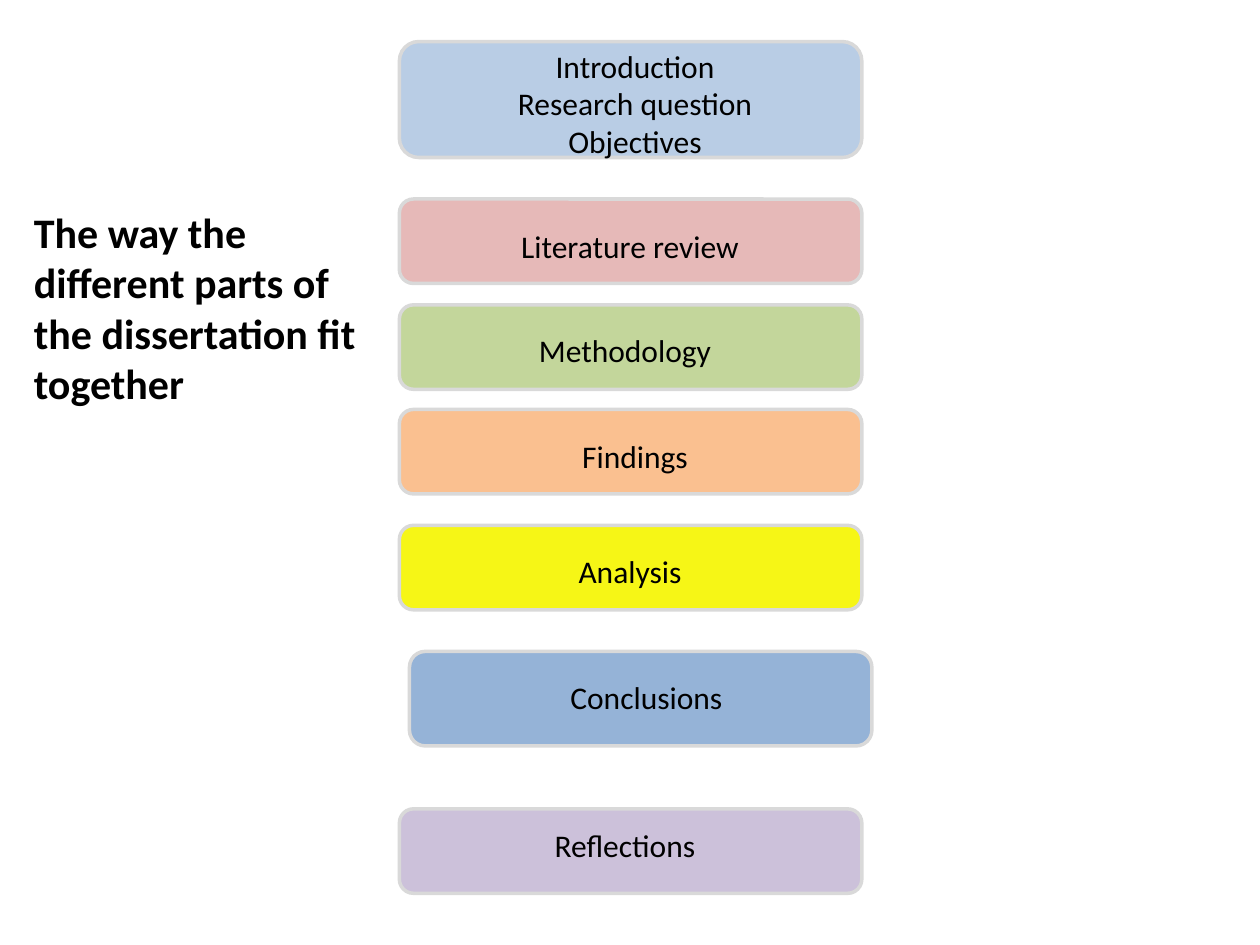
from pptx import Presentation
from pptx import util as u
from pptx.dml.color import RGBColor
from pptx.enum import shapes, text

BLACK = RGBColor(0x00, 0x00, 0x00)
GREY = RGBColor(0xD9, 0xD9, 0xD9)
PALE_BLUE = RGBColor(0xB9, 0xCD, 0xE5)
PINK = RGBColor(0xE6, 0xB9, 0xB8)
GREEN = RGBColor(0xC3, 0xD6, 0x9B)
ORANGE = RGBColor(0xFA, 0xC0, 0x90)
YELLOW = RGBColor(0xF6, 0xF6, 0x16)
BLUE = RGBColor(0x95, 0xB3, 0xD7)
LILAC = RGBColor(0xCC, 0xC1, 0xDA)

BOX_W = 3.67


class Deck:
    """Holds the style and the current slide."""

    font = {"name": "Calibri", "size": u.Pt(18), "bold": False}

    def __init__(self, s):
        self.s = s

    def box(self, x, y, h, fill):
        sp = self.s.shapes.add_shape(
            shapes.MSO_SHAPE.ROUNDED_RECTANGLE,
            *map(u.Inches, (x, y, BOX_W, h)))
        sp.shadow.inherit = False
        sp.fill.solid()
        sp.fill.fore_color.rgb = fill
        sp.line.color.rgb = GREY
        sp.line.width = u.Pt(2)

    def label(self, x, y, w, h, lines, align=text.PP_ALIGN.CENTER, **style):
        tf = self.s.shapes.add_textbox(*map(u.Inches, (x, y, w, h))).text_frame
        tf.word_wrap = True
        tf.auto_size = text.MSO_AUTO_SIZE.SHAPE_TO_FIT_TEXT
        for i, line in enumerate(lines):
            p = tf.add_paragraph() if i else tf.paragraphs[0]
            p.alignment = align
            r = p.add_run()
            r.text = line
            for name, value in {**self.font, **style}.items():
                setattr(r.font, name, value)
            r.font.color.rgb = BLACK


# Dissertation parts: box (x, y, height), fill, label (x, y, w, h), lines
PARTS = [
    ((3.17, 0.33, 0.92), PALE_BLUE, (3.33, 0.32, 3.42, 1.01),
     ["Introduction", "Research question", "Objectives"]),
    ((3.17, 1.58, 0.67), PINK, (3.25, 1.75, 3.5, 0.42), ["Literature review"]),
    ((3.17, 2.42, 0.67), GREEN, (3.25, 2.58, 3.42, 0.4), ["Methodology"]),
    ((3.17, 3.25, 0.67), ORANGE, (3.5, 3.42, 3.08, 0.4), ["Findings"]),
    ((3.17, 4.17, 0.67), YELLOW, (3.25, 4.33, 3.5, 0.42), ["Analysis"]),
    ((3.25, 5.17, 0.75), BLUE, (3.42, 5.33, 3.42, 0.42), ["Conclusions"]),
    ((3.17, 6.42, 0.67), LILAC, (3.42, 6.51, 3.08, 0.4), ["Reflections"]),
]


def main():
    prs = Presentation()
    prs.slide_width, prs.slide_height = u.Inches(10), u.Inches(7.5)
    deck = Deck(prs.slides.add_slide(prs.slide_layouts[6]))

    # Heading on the left
    deck.label(0.17, 1.59, 2.75, 1.72,
               ["The way the different parts of the dissertation fit together"],
               align=text.PP_ALIGN.LEFT, size=u.Pt(24), bold=True)

    # Column of parts
    for box, fill, label, lines in PARTS:
        deck.box(*box, fill)
        deck.label(*label, lines)

    prs.save("out.pptx")


if __name__ == "__main__":
    main()
